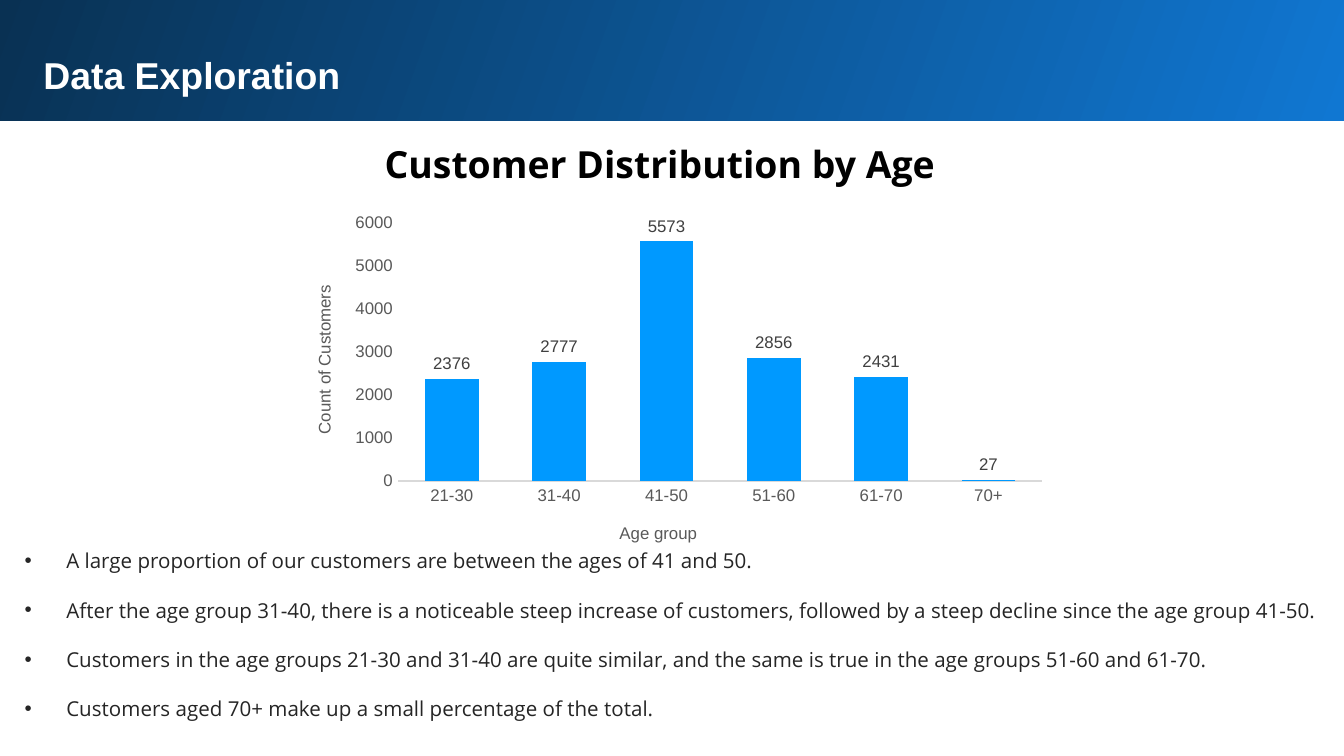
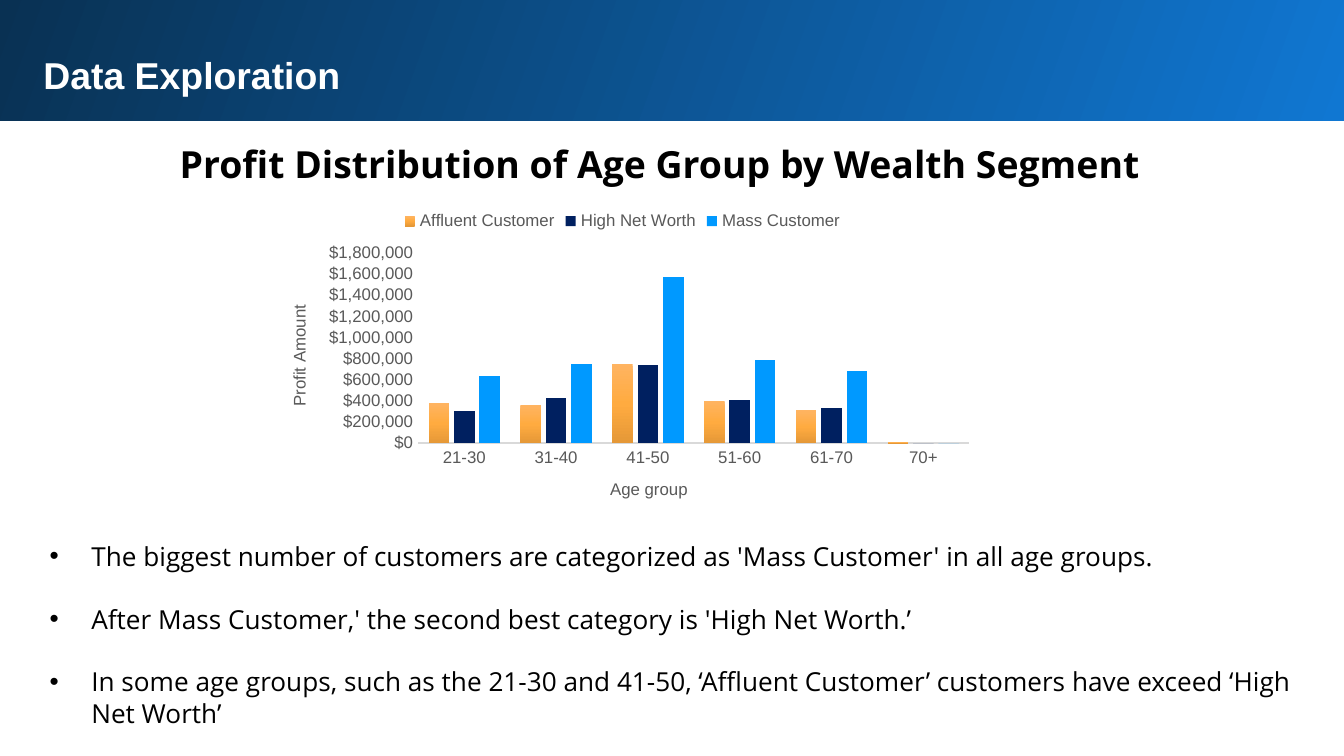
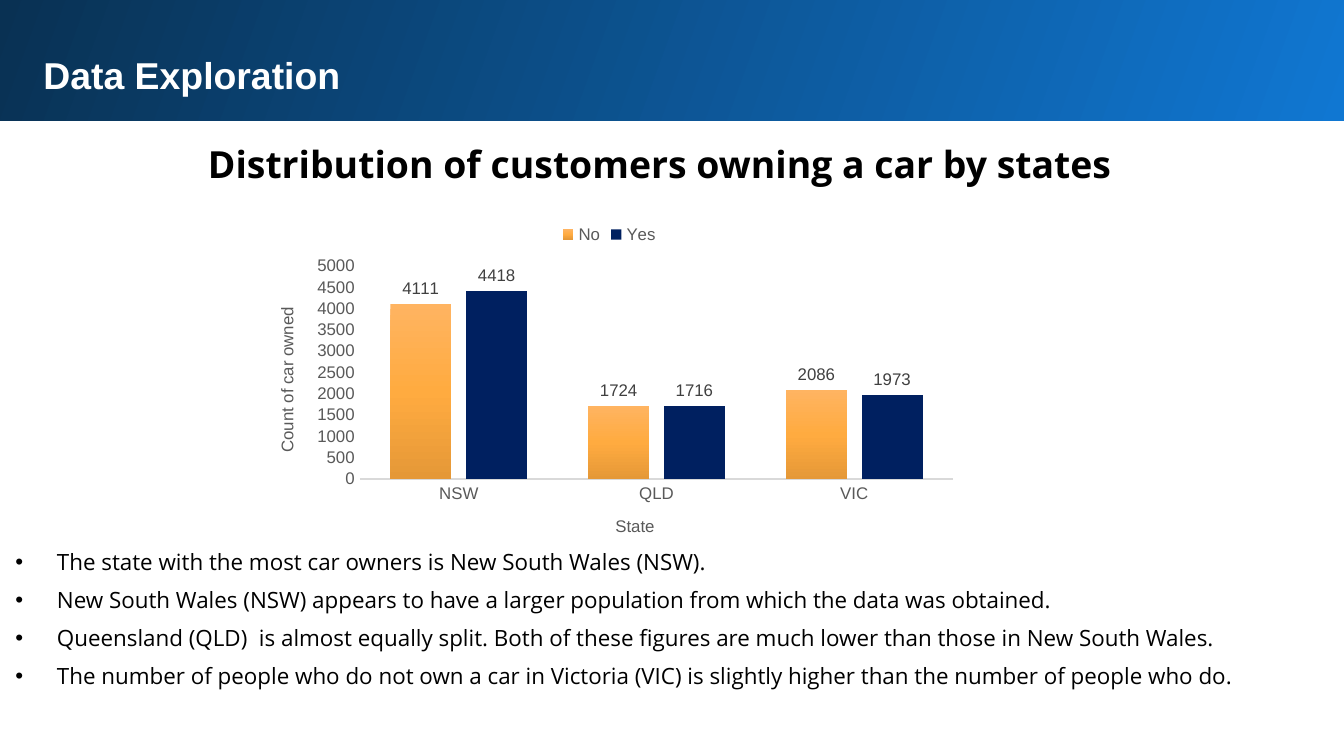
from copy import deepcopy
from dataclasses import dataclass

from lxml.etree import SubElement
from pptx import Presentation
from pptx.chart.data import CategoryChartData
from pptx.dml.color import RGBColor
from pptx.enum.chart import XL_CHART_TYPE as ChartType
from pptx.enum.chart import XL_LABEL_POSITION as LabelPosition
from pptx.enum.chart import XL_LEGEND_POSITION as LegendPosition
from pptx.enum.chart import XL_TICK_MARK as TickMark
from pptx.enum.shapes import MSO_SHAPE as Preset
from pptx.enum.text import MSO_AUTO_SIZE as AutoSize
from pptx.enum.text import PP_ALIGN as Align
from pptx.oxml.ns import qn
from pptx.util import Inches, Pt


@dataclass(frozen=True)
class Theme:
    heading_font: str = "Arial"
    body_font: str = "Open Sans"
    white: str = "FFFFFF"
    black: str = "000000"
    charcoal: str = "252525"
    axis_text: str = "595959"
    label_text: str = "404040"
    axis_line: str = "D9D9D9"
    band: tuple = ("1077D2", "093153")
    orange: tuple = ("FFB461", "FFAB40", "E59837")
    navy: str = "002060"
    blue: str = "0099FF"
    title_size: int = 20
    chart_size: int = 9


@dataclass(frozen=True)
class Box:
    column: float
    row: float
    columns: float
    rows: float

    def place(self):
        return [Inches(cells / CELLS_PER_INCH)
                for cells in (self.column, self.row, self.columns, self.rows)]


@dataclass(frozen=True)
class ChartPlan:
    box: Box
    categories: list
    series: list
    category_title: str
    value_title: str
    top_value: int
    step: int
    plot_area: tuple
    category_title_at: tuple
    value_title_at: tuple
    number_format: str = "General"
    labels: bool = True


@dataclass(frozen=True)
class BulletPlan:
    box: Box
    lines: list
    size: int
    gap: float
    color: str


THEME = Theme()
CELLS_PER_INCH = 10
PAGE = Box(0, 0, 100, 56.25)
BAND = Box(0, -0.2, 100, 9.2)
TITLE = Box(2.25, 2.9, 93.7, 5.4)
SUBTITLE = Box(2.25, 9, 93.7, 5.6)
INDENT = Inches(0.31)
AGE_GROUPS = ["21-30", "31-40", "41-50", "51-60", "61-70", "70+"]


def style_font(font, name, size, color, bold=False):
    font.name = name
    font.size = Pt(size)
    font.bold = bold
    font.color.rgb = RGBColor.from_string(color)


def paint(fill, owner, colors, angle):
    if isinstance(colors, str):
        fill.solid()
        fill.fore_color.rgb = RGBColor.from_string(colors)
        return
    fill.gradient()
    fill.gradient_angle = angle
    stop_list = owner.xpath(".//a:gsLst")[0]
    while len(stop_list) < len(colors):
        stop_list.append(deepcopy(stop_list[-1]))
    for index, (stop, color) in enumerate(zip(fill.gradient_stops, colors)):
        stop.position = index / (len(colors) - 1)
        stop.color.rgb = RGBColor.from_string(color)


def set_layout(element, index, percents):
    for old in element.findall(qn("c:layout")):
        element.remove(old)
    layout = SubElement(element, qn("c:layout"))
    element.insert(index, layout)
    manual = SubElement(layout, qn("c:manualLayout"))
    entries = [("xMode", "edge"), ("yMode", "edge")]
    if len(percents) == 4:
        entries.insert(0, ("layoutTarget", "inner"))
    entries += [(key, str(round(percent / 100, 4)))
                for key, percent in zip("xywh", percents)]
    for key, value in entries:
        SubElement(manual, qn(f"c:{key}")).set("val", value)


def add_text_frame(slide, box, margin):
    text_frame = slide.shapes.add_textbox(*box.place()).text_frame
    text_frame.word_wrap = True
    text_frame.auto_size = AutoSize.SHAPE_TO_FIT_TEXT
    text_frame.margin_left = text_frame.margin_right = Inches(margin)
    text_frame.margin_top = text_frame.margin_bottom = Inches(margin)
    return text_frame


def add_heading(slide, box, text, font_name, color):
    text_frame = add_text_frame(slide, box, 0.1)
    text_frame.text = text
    paragraph = text_frame.paragraphs[0]
    style_font(paragraph.runs[0].font, font_name, THEME.title_size, color, True)
    return paragraph


def add_header(slide, subtitle):
    band = slide.shapes.add_shape(Preset.RECTANGLE, *BAND.place())
    band.shadow.inherit = False
    band.line.fill.background()
    paint(band.fill, band._element, THEME.band, 160)
    add_heading(slide, TITLE, "Data Exploration", THEME.heading_font, THEME.white)
    paragraph = add_heading(slide, SUBTITLE, subtitle, THEME.body_font, THEME.black)
    paragraph.alignment = Align.CENTER
    paragraph.line_spacing = 1.15


def add_bullets(slide, plan):
    text_frame = add_text_frame(slide, plan.box, 0.05)
    text_frame.text = "\n".join(plan.lines)
    for paragraph in text_frame.paragraphs:
        paragraph.space_after = Pt(plan.gap)
        properties = paragraph._p.get_or_add_pPr()
        properties.set("marL", str(INDENT))
        properties.set("indent", str(-INDENT))
        SubElement(properties, qn("a:buFont")).set("typeface", THEME.heading_font)
        SubElement(properties, qn("a:buChar")).set("char", "•")
        style_font(paragraph.runs[0].font, THEME.body_font, plan.size, plan.color)
    text_frame.paragraphs[-1].space_after = Pt(0)


def style_axis(axis, title, title_at, rotation):
    axis.has_major_gridlines = False
    axis.major_tick_mark = axis.minor_tick_mark = TickMark.NONE
    style_font(axis.tick_labels.font, THEME.heading_font, THEME.chart_size, THEME.axis_text)
    text_frame = axis.axis_title.text_frame
    text_frame.text = title
    style_font(text_frame.paragraphs[0].runs[0].font,
               THEME.heading_font, THEME.chart_size, THEME.axis_text)
    element = axis.axis_title._element
    element.xpath(".//a:bodyPr")[0].set("rot", str(rotation * 60000))
    set_layout(element, 1, title_at)


def add_column_chart(slide, plan):
    data = CategoryChartData(number_format=plan.number_format)
    data.categories = plan.categories
    for name, values, _ in plan.series:
        data.add_series(name, values)
    chart = slide.shapes.add_chart(
        ChartType.COLUMN_CLUSTERED, *plan.box.place(), data).chart
    chart.has_title = False
    style_font(chart.font, THEME.heading_font, THEME.chart_size, THEME.axis_text)
    chart.has_legend = len(plan.series) > 1
    if chart.has_legend:
        chart.legend.position = LegendPosition.TOP
        chart.legend.include_in_layout = False
        style_font(chart.legend.font, THEME.heading_font, THEME.chart_size, THEME.axis_text)

    style_axis(chart.category_axis, plan.category_title, plan.category_title_at, 0)
    line = chart.category_axis.format.line
    line.color.rgb = RGBColor.from_string(THEME.axis_line)
    line.width = Pt(1)
    value_axis = chart.value_axis
    style_axis(value_axis, plan.value_title, plan.value_title_at, -90)
    value_axis.format.line.fill.background()
    value_axis.minimum_scale = 0
    value_axis.maximum_scale = plan.top_value
    value_axis.major_unit = plan.step
    value_axis.tick_labels.number_format = plan.number_format
    value_axis.tick_labels.number_format_is_linked = False

    plot = chart.plots[0]
    plot.gap_width = 100
    plot.overlap = -24
    plot.vary_by_categories = False
    for series, (_, _, colors) in zip(plot.series, plan.series):
        series.invert_if_negative = False
        paint(series.format.fill, series._element, colors, 270)
        if plan.labels:
            labels = series.data_labels
            labels.show_value = True
            labels.position = LabelPosition.OUTSIDE_END
            style_font(labels.font, THEME.heading_font, THEME.chart_size, THEME.label_text)
    set_layout(chart._chartSpace.chart.plotArea, 0, plan.plot_area)


def add_exploration_slide(presentation, subtitle, bullets, chart):
    slide = presentation.slides.add_slide(presentation.slide_layouts[6])
    add_header(slide, subtitle)
    add_bullets(slide, bullets)
    add_column_chart(slide, chart)


presentation = Presentation()
_, _, presentation.slide_width, presentation.slide_height = PAGE.place()

add_exploration_slide(
    presentation,
    "Customer Distribution by Age",
    BulletPlan(Box(1.34, 40.3, 97.4, 14), [
        "A large proportion of our customers are between the ages of 41 and 50.",
        "After the age group 31-40, there is a noticeable steep increase of customers, "
        "followed by a steep decline since the age group 41-50.",
        "Customers in the age groups 21-30 and 31-40 are quite similar, "
        "and the same is true in the age groups 51-60 and 61-70.",
        "Customers aged 70+ make up a small percentage of the total.",
    ], size=11, gap=13.2, color=THEME.charcoal),
    ChartPlan(
        Box(21.3, 15.3, 57.4, 26.7), AGE_GROUPS,
        [("Series 1", [2376, 2777, 5573, 2856, 2431, 27], THEME.blue)],
        "Age group", "Count of Customers", top_value=6000, step=1000,
        plot_area=(14.5, 4.9, 83.5, 71.9),
        category_title_at=(42.8, 87.4), value_title_at=(3.1, 21.3)))

add_exploration_slide(
    presentation,
    "Profit Distribution of Age Group by Wealth Segment",
    BulletPlan(Box(3.2, 39.7, 93.7, 15.1), [
        "The biggest number of customers are categorized as 'Mass Customer' in all age groups.",
        "After Mass Customer,' the second best category is 'High Net Worth.’",
        "In some age groups, such as the 21-30 and 41-50, "
        "‘Affluent Customer’ customers have exceed ‘High Net Worth’",
    ], size=14, gap=16.8, color=THEME.black),
    ChartPlan(
        Box(19.4, 14.6, 53.8, 24.5), AGE_GROUPS,
        [("Affluent Customer", [380000, 360000, 750000, 400000, 310000, 10000], THEME.orange),
         ("High Net Worth", [300000, 430000, 740000, 410000, 330000, 0], THEME.navy),
         ("Mass Customer", [640000, 750000, 1570000, 790000, 680000, 0], THEME.blue)],
        "Age group", "Profit Amount", top_value=1800000, step=200000,
        plot_area=(21.8, 17.3, 76.2, 57.8),
        category_title_at=(47.9, 84.6), value_title_at=(3.4, 32.1),
        number_format='"$"#,##0', labels=False))

add_exploration_slide(
    presentation,
    "Distribution of customers owning a car by states",
    BulletPlan(Box(0.64, 40.3, 99.4, 12.5), [
        "The state with the most car owners is New South Wales (NSW).",
        "New South Wales (NSW) appears to have a larger population "
        "from which the data was obtained.",
        "Queensland (QLD)\u00a0 is almost equally split. "
        "Both of these figures are much lower than those in New South Wales.",
        "The number of people who do not own a car in Victoria (VIC) "
        "is slightly higher than the number of people who do.",
    ], size=12, gap=6, color=THEME.black),
    ChartPlan(
        Box(18.6, 15.6, 53.5, 26.3), ["NSW", "QLD", "VIC"],
        [("No", [4111, 1724, 2086], THEME.orange),
         ("Yes", [4418, 1716, 1973], THEME.navy)],
        "State", "Count of car owned", top_value=5000, step=500,
        plot_area=(15.3, 16, 82.5, 60.3),
        category_title_at=(50.4, 85.5), value_title_at=(3.2, 26.7)))

presentation.save("out.pptx")
